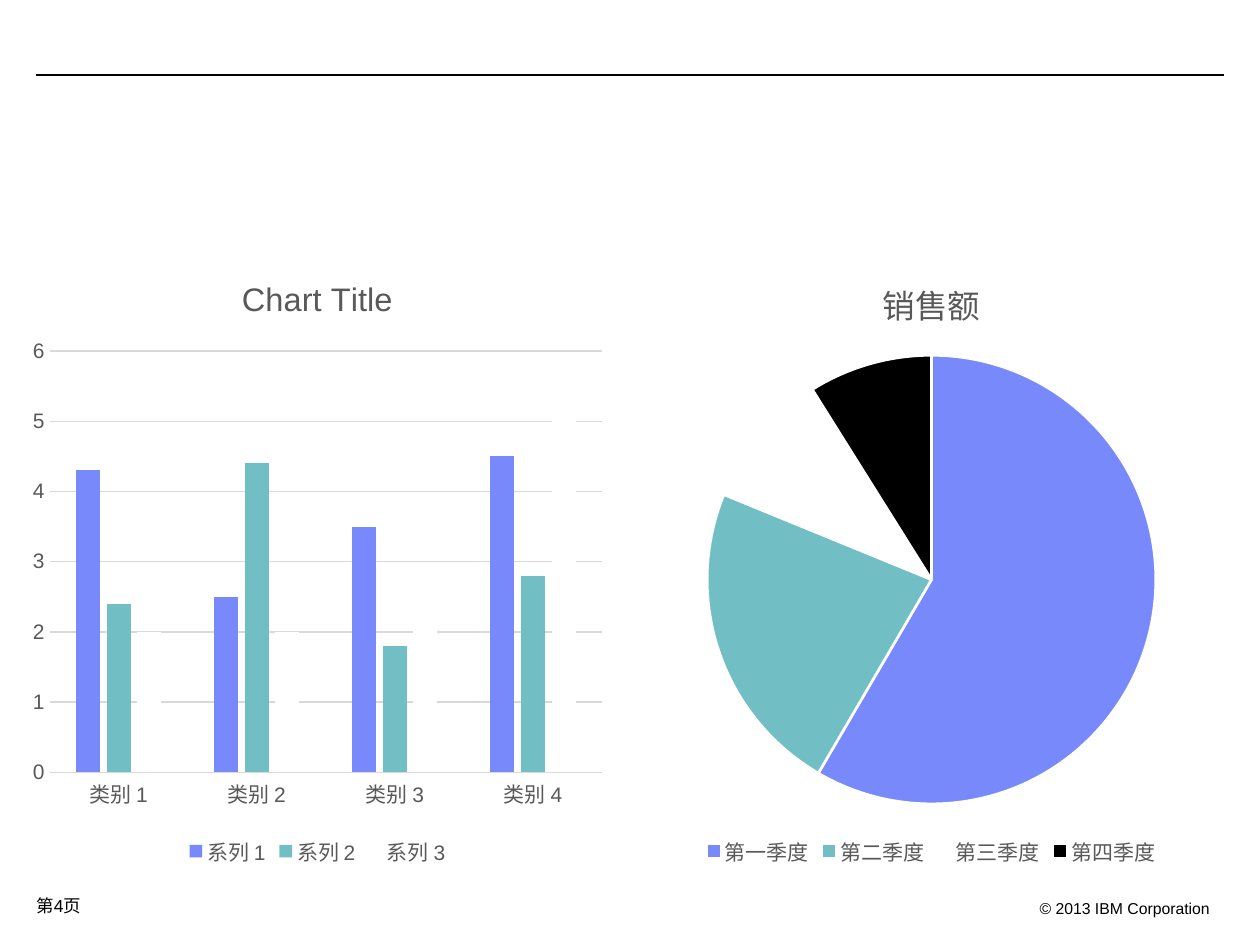
"""Build a slide with a column chart, a pie chart and a footer."""
from lxml import etree
from pptx import Presentation
from pptx.chart.data import CategoryChartData
from pptx.dml.color import RGBColor
from pptx.enum.chart import XL_CHART_TYPE, XL_LEGEND_POSITION, XL_TICK_MARK
from pptx.enum.shapes import MSO_CONNECTOR
from pptx.enum.text import PP_ALIGN
from pptx.oxml.ns import qn
from pptx.util import Pt

GREY, RULE = "595959", "D9D9D9"
COLORS = ["7889FB", "71BFC5", "FFFFFF", "000000"]


def px(*lengths):
    return [round(n * 914400 / 126) for n in lengths]


def style(font, size, color):
    font.size = Pt(size)
    font.name = "Arial"
    font.bold = False
    font.color.rgb = RGBColor.from_string(color)


prs = Presentation()
prs.slide_width, prs.slide_height = px(1260, 945)
s = prs.slides.add_slide(prs.slide_layouts[6])

rule = s.shapes.add_connector(MSO_CONNECTOR.STRAIGHT, *px(36, 75, 1224, 75))
rule.line.color.rgb = RGBColor.from_string("000000")
rule.line.width = Pt(0.75)
etree.SubElement(rule._element.spPr, qn("a:effectLst"))

footers = [
    ("第4页", (24, 889, 176, 34), 10, PP_ALIGN.LEFT),
    ("© 2013 IBM Corporation", (801, 893, 421, 32), 9, PP_ALIGN.RIGHT),
]
for text, box, size, align in footers:
    tf = s.shapes.add_textbox(*px(*box)).text_frame
    tf.word_wrap = True
    p = tf.paragraphs[0]
    p.alignment = align
    r = p.add_run()
    r.text = text
    style(r.font, size, "000000")

columns = CategoryChartData()
columns.categories = [f"类别 {n}" for n in range(1, 5)]
columns.add_series("系列 1", (4.3, 2.5, 3.5, 4.5))
columns.add_series("系列 2", (2.4, 4.4, 1.8, 2.8))
columns.add_series("系列 3", (2, 2, 3, 5))

sales = CategoryChartData()
sales.categories = ["第一季度", "第二季度", "第三季度", "第四季度"]
sales.add_series("销售额", (59, 23, 10, 9))

charts = []
for left, kind, data, title in [
    (21, XL_CHART_TYPE.COLUMN_CLUSTERED, columns, "Chart Title"),
    (635, XL_CHART_TYPE.PIE, sales, "销售额"),
]:
    chart = s.shapes.add_chart(kind, *px(left, 252, 593, 620), data).chart
    style(chart.font, 10, "000000")
    chart.has_title = True
    r = chart.chart_title.text_frame.paragraphs[0].add_run()
    r.text = title
    style(r.font, 18.6, GREY)
    chart.chart_title.include_in_layout = False
    chart.has_legend = True
    chart.legend.position = XL_LEGEND_POSITION.BOTTOM
    chart.legend.include_in_layout = False
    style(chart.legend.font, 12, GREY)
    charts.append(chart)

bar, pie = charts
plot = bar.plots[0]
plot.gap_width = 219
plot.overlap = -27
plot.vary_by_categories = False
for series, color in zip(plot.series, COLORS):
    series.format.fill.solid()
    series.format.fill.fore_color.rgb = RGBColor.from_string(color)
    series.invert_if_negative = False

for axis in (bar.category_axis, bar.value_axis):
    axis.major_tick_mark = axis.minor_tick_mark = XL_TICK_MARK.NONE
    style(axis.tick_labels.font, 12, GREY)
bar.value_axis.minimum_scale = 0
bar.value_axis.maximum_scale = 6
bar.value_axis.major_unit = 1
bar.value_axis.has_major_gridlines = True
bar.value_axis.format.line.fill.background()
for part in (bar.category_axis, bar.value_axis.major_gridlines):
    part.format.line.color.rgb = RGBColor.from_string(RULE)
    part.format.line.width = Pt(0.75)

pie.plots[0].vary_by_categories = True
for i, color in enumerate(COLORS):
    point = pie.plots[0].series[0].points[i].format
    point.fill.solid()
    point.fill.fore_color.rgb = RGBColor.from_string(color)
    point.line.color.rgb = RGBColor.from_string("FFFFFF")
    point.line.width = Pt(1.5)

prs.save("out.pptx")
